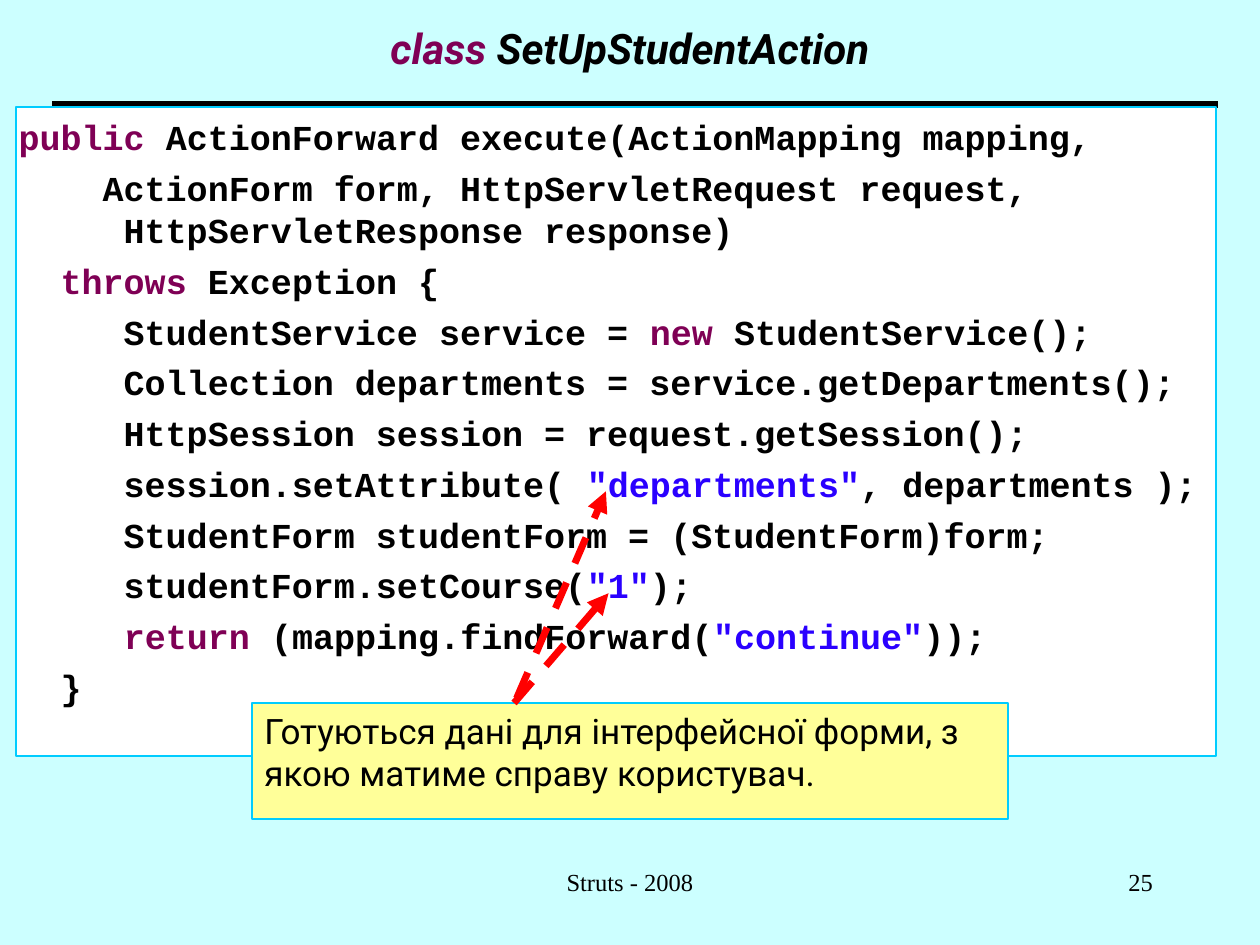
from lxml import etree
from pptx import Presentation
from pptx.dml.color import RGBColor
from pptx.enum import dml, shapes, text
from pptx.oxml.ns import qn
from pptx.util import Pt

BLACK, WORD, QUOTE = "000000", "7F0055", "2A00FF"
EDGE, RED = "00CCFF", "FF0000"
MONO, SANS, SERIF = "Courier New", "Roboto", "Times New Roman"
LEFT, MID, RIGHT = text.PP_ALIGN.LEFT, text.PP_ALIGN.CENTER, text.PP_ALIGN.RIGHT
PAD = (7.2, 3.6, 7.2, 3.6)

CODE = [
    [("public", WORD), " ActionForward execute(ActionMapping mapping,"],
    ["    ActionForm form, HttpServletRequest request,\n     HttpServletResponse response)"],
    ["  ", ("throws", WORD), " Exception {"],
    ["     StudentService service = ", ("new", WORD), " StudentService();"],
    ["     Collection departments = service.getDepartments();"],
    ["     HttpSession session = request.getSession();"],
    ["     session.setAttribute( ", ('"departments"', QUOTE), ", departments );"],
    ["     StudentForm studentForm = (StudentForm)form;"],
    ["     studentForm.setCourse(", ('"1"', QUOTE), ");"],
    ["     ", ("return", WORD), " (mapping.findForward(", ('"continue"', QUOTE), "));"],
    ["  }"],
]


def rgb(code):
    """Turn a hex string into a colour."""
    return RGBColor.from_string(code)


class Deck:
    """Hold the style and the current slide."""

    def __init__(self, back):
        """Open a deck with one title-only slide."""
        self.prs = Presentation()
        self.prs.slide_width, self.prs.slide_height = Pt(720), Pt(540)
        self.slide = self.prs.slides.add_slide(self.prs.slide_layouts[5])
        fill = self.slide.background.fill
        fill.solid()
        fill.fore_color.rgb = rgb(back)

    def put(self, shape, paras, font, size, align=LEFT, pad=PAD, lead=None,
            gap=0, bold=False, slant=False, anchor=text.MSO_ANCHOR.TOP):
        """Fill a shape with paragraphs, run by run."""
        frame = shape.text_frame
        frame.word_wrap = True
        frame.auto_size = text.MSO_AUTO_SIZE.NONE
        frame.vertical_anchor = anchor
        (frame.margin_left, frame.margin_top,
         frame.margin_right, frame.margin_bottom) = map(Pt, pad)
        for row, parts in enumerate(paras):
            para = frame.add_paragraph() if row else frame.paragraphs[0]
            para.alignment = align
            para.space_before = Pt(gap if row else 0)
            if lead:
                para.line_spacing = Pt(lead)
            for part in parts:
                words, tint = (part, BLACK) if isinstance(part, str) else part
                for turn, line in enumerate(words.split("\n")):
                    if turn:
                        para.add_line_break()
                    run = para.add_run()
                    run.text = line
                    run.font.name, run.font.size = font, Pt(size)
                    run.font.bold, run.font.italic = bold, slant
                    run.font.color.rgb = rgb(tint)

    def title(self, x, y, w, h, parts):
        """Place and format the title."""
        head = self.slide.shapes.title
        head.left, head.top, head.width, head.height = map(Pt, (x, y, w, h))
        self.put(head, [parts], SANS, 24, MID, bold=True, slant=True,
                 anchor=text.MSO_ANCHOR.MIDDLE)

    def panel(self, x, y, w, h, fill, paras, font, **style):
        """Add a filled rectangle with text."""
        box = self.slide.shapes.add_shape(
            shapes.MSO_SHAPE.RECTANGLE, *map(Pt, (x, y, w, h)))
        box.shadow.inherit = False
        box.fill.solid()
        box.fill.fore_color.rgb = rgb(fill)
        box.line.color.rgb = rgb(EDGE)
        box.line.width = Pt(1)
        self.put(box, paras, font, 20, lead=24, **style)

    def label(self, x, y, w, h, words, align):
        """Add a plain line of footer text."""
        box = self.slide.shapes.add_textbox(*map(Pt, (x, y, w, h)))
        self.put(box, [[words]], SERIF, 14, align)

    def rule(self, x1, y1, x2, y2, tint, width):
        """Add a straight line."""
        line = self.slide.shapes.add_connector(
            shapes.MSO_CONNECTOR.STRAIGHT, *map(Pt, (x1, y1, x2, y2)))
        line.line.color.rgb = rgb(tint)
        line.line.width = Pt(width)
        etree.SubElement(line._element.spPr, qn("a:effectLst"))
        return line

    def arrow(self, x1, y1, x2, y2):
        """Add a dashed red arrow."""
        line = self.rule(x1, y1, x2, y2, RED, 4).line
        line.dash_style = dml.MSO_LINE.DASH
        etree.SubElement(line._get_or_add_ln(), qn("a:tailEnd"), type="triangle")


def main():
    """Build the slide and save it."""
    deck = Deck("CCFFFF")
    deck.title(0, 0, 720, 54, [("class", WORD), " SetUpStudentAction"])
    deck.rule(30, 59.75, 696, 59.75, BLACK, 4.5)
    deck.panel(9.25, 61.25, 685.5, 370.75, "FFFFFF", CODE, MONO,
               pad=(1.4, 5, 0, 0.7), gap=5, bold=True)
    note = "Готуються дані для інтерфейсної форми, з якою матиме справу користувач."
    deck.panel(144, 401.75, 432, 66.25, "FFFF99", [[note]], SANS)
    deck.arrow(293.75, 401.75, 347.75, 339)
    deck.arrow(295.25, 399, 346.25, 280.75)
    deck.label(246, 492, 228, 36, "Struts - 2008", MID)
    deck.label(516, 492, 150, 36, "25", RIGHT)
    deck.prs.save("out.pptx")


if __name__ == "__main__":
    main()
